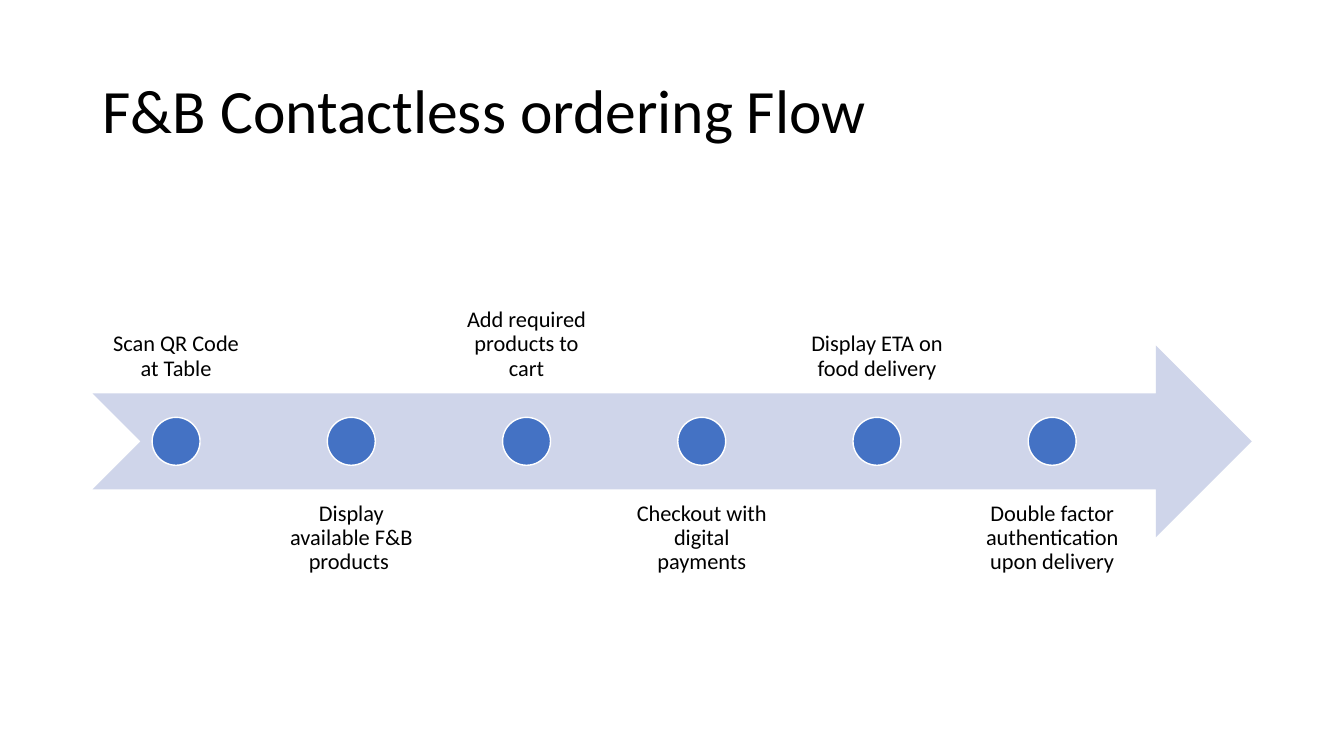
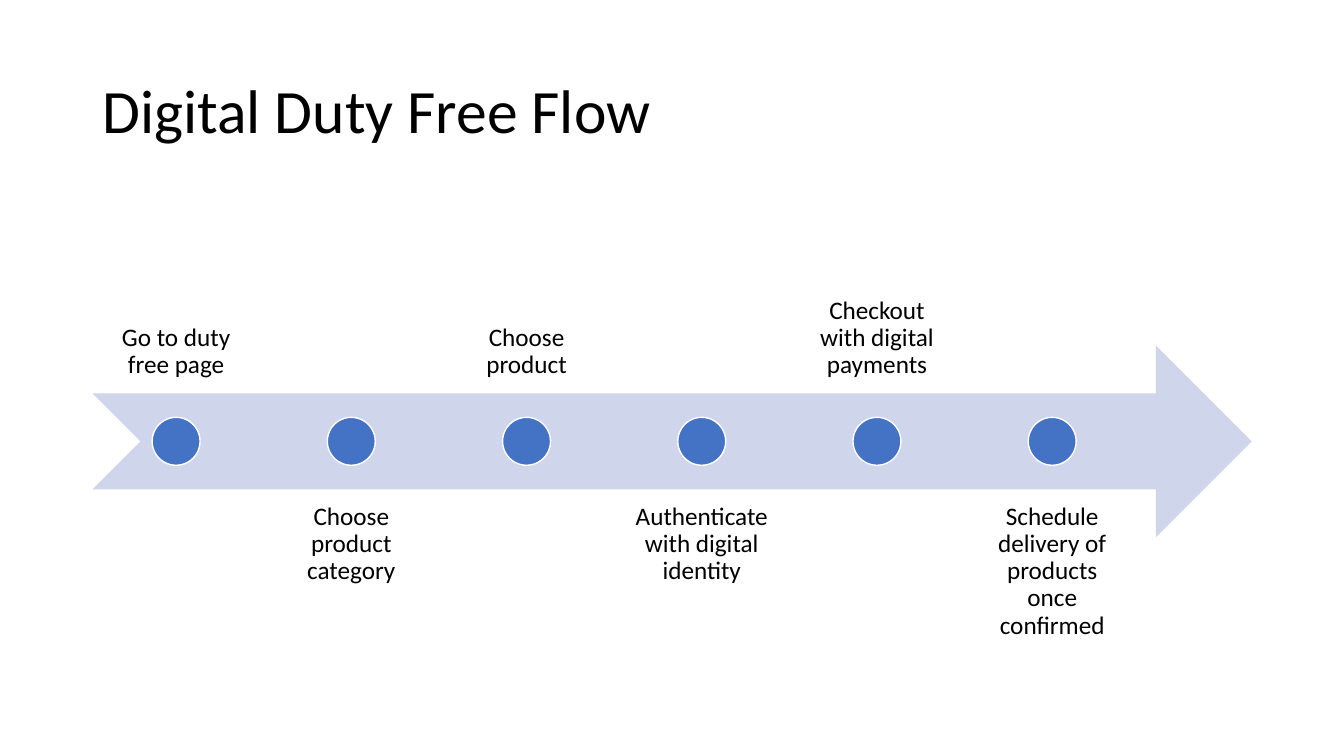
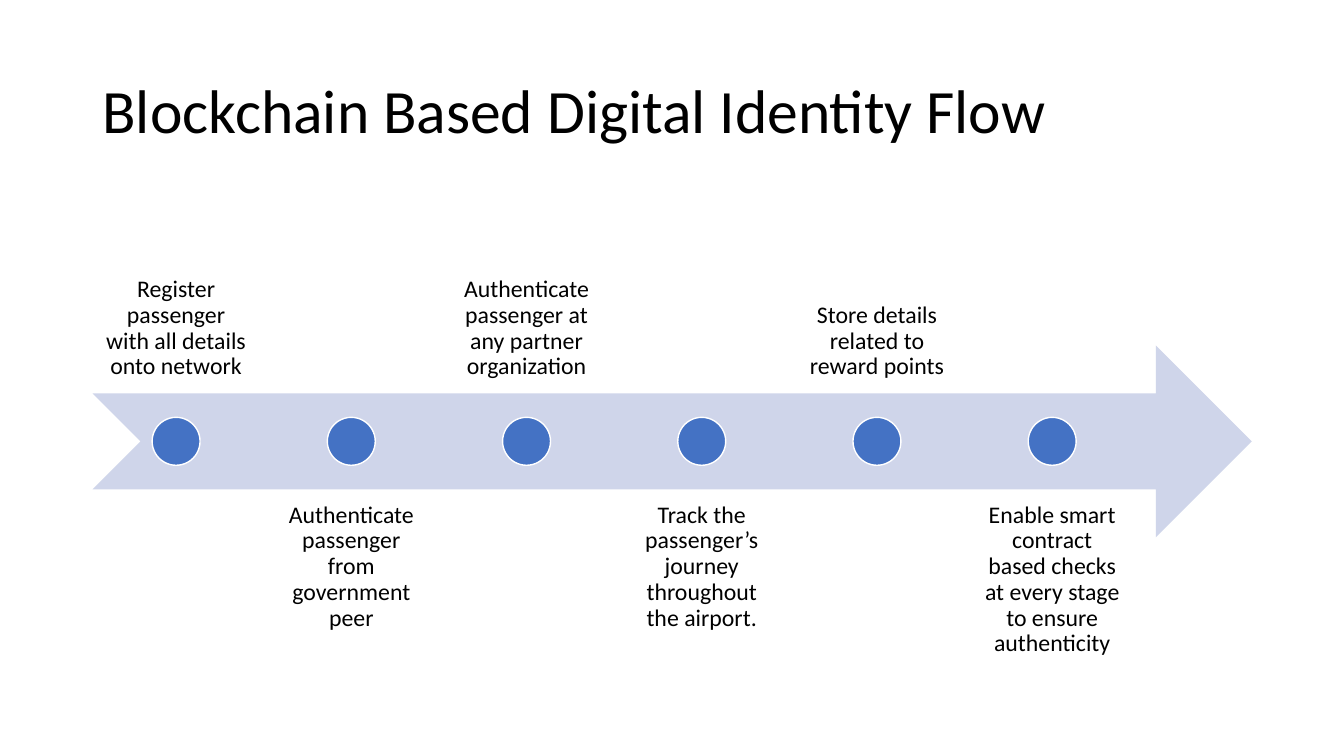
from pptx import Presentation
from pptx.dml.color import RGBColor
from pptx.enum.shapes import MSO_SHAPE
from pptx.enum.text import MSO_ANCHOR, PP_ALIGN
from pptx.util import Pt

ARROW = MSO_SHAPE.NOTCHED_RIGHT_ARROW
CIRCLE = MSO_SHAPE.OVAL
TOP, MIDDLE, BOTTOM = MSO_ANCHOR.TOP, MSO_ANCHOR.MIDDLE, MSO_ANCHOR.BOTTOM
LEFT, CENTER = PP_ALIGN.LEFT, PP_ALIGN.CENTER

COLORS = {"text": "000000", "arrow": "CFD5EA", "marker": "4472C4", "outline": "FFFFFF"}
FONT = "Calibri"
TITLE_SIZE = 44
LINE_SPACING = 0.9

MARGIN, CONTENT_WIDTH = 66.2, 828
TITLE_TOP, TITLE_HEIGHT = 28.75, 104.4

# The flow is two rows of labels with the arrow centred between them.
FLOW_TOP, ROW_HEIGHT = 144, 137
ARROW_TOP = FLOW_TOP + 0.75 * ROW_HEIGHT
LOWER_TOP = FLOW_TOP + 1.5 * ROW_HEIGHT
MARKER_SIZE = ROW_HEIGHT / 4
MARKER_TOP = ARROW_TOP + (ROW_HEIGHT - MARKER_SIZE) / 2
LABEL_WIDTH = 119.2
LABEL_PITCH = 1.05 * LABEL_WIDTH
INSET_RATIO = 0.56

# Title, label size, steps
FLOWS = [
    ("F&B Contactless ordering Flow", 16, [
        "Scan QR Code at Table",
        "Display available F&B products ",
        "Add required products to cart",
        "Checkout with digital payments",
        "Display ETA on food delivery",
        "Double factor authentication upon delivery",
    ]),
    ("Digital Duty Free Flow", 18, [
        "Go to duty free page",
        "Choose product category",
        "Choose product",
        "Authenticate with digital identity",
        "Checkout with digital payments",
        "Schedule delivery of products once confirmed",
    ]),
    ("Blockchain Based Digital Identity Flow", 17, [
        "Register passenger with all details onto network",
        "Authenticate passenger from government peer",
        "Authenticate passenger at any partner organization",
        "Track the passenger’s journey throughout the airport.",
        "Store details related to reward points",
        "Enable smart contract based checks at every stage to ensure authenticity",
    ]),
]


def color(name):
    return RGBColor.from_string(COLORS[name])


def add_text(slide, text, box, size, anchor, align, inset=None):
    """Add wrapped text in box (left, top, width, height), with an optional equal inset."""
    frame = slide.shapes.add_textbox(*map(Pt, box)).text_frame
    frame.word_wrap = True
    frame.vertical_anchor = anchor
    if inset is not None:
        frame.margin_left = frame.margin_right = Pt(inset)
        frame.margin_top = frame.margin_bottom = Pt(inset)
    paragraph = frame.paragraphs[0]
    paragraph.text = text
    paragraph.alignment = align
    paragraph.line_spacing = LINE_SPACING
    font = paragraph.runs[0].font
    font.name = FONT
    font.size = Pt(size)
    font.color.rgb = color("text")


def add_filled_shape(slide, preset, box, fill, outline=None):
    shape = slide.shapes.add_shape(preset, *map(Pt, box))
    shape.shadow.inherit = False
    shape.fill.solid()
    shape.fill.fore_color.rgb = color(fill)
    if outline:
        shape.line.color.rgb = color(outline)
        shape.line.width = Pt(1)
    else:
        shape.line.fill.background()


def add_title(slide, title):
    add_text(slide, title, (MARGIN, TITLE_TOP, CONTENT_WIDTH, TITLE_HEIGHT),
             TITLE_SIZE, MIDDLE, LEFT)


def add_step(slide, index, label, size):
    """Add a label and its marker; labels alternate above and below the arrow."""
    left = MARGIN + index * LABEL_PITCH
    label_top, anchor = (LOWER_TOP, TOP) if index % 2 else (FLOW_TOP, BOTTOM)
    add_text(slide, label, (left, label_top, LABEL_WIDTH, ROW_HEIGHT),
             size, anchor, CENTER, INSET_RATIO * size)
    marker_left = left + (LABEL_WIDTH - MARKER_SIZE) / 2
    add_filled_shape(slide, CIRCLE, (marker_left, MARKER_TOP, MARKER_SIZE, MARKER_SIZE),
                     "marker", "outline")


def add_flow(slide, steps, size):
    add_filled_shape(slide, ARROW, (MARGIN, ARROW_TOP, CONTENT_WIDTH, ROW_HEIGHT), "arrow")
    for index, label in enumerate(steps):
        add_step(slide, index, label, size)


def main():
    deck = Presentation()
    deck.slide_width, deck.slide_height = Pt(960), Pt(540)
    blank = deck.slide_layouts[6]
    for title, label_size, steps in FLOWS:
        slide = deck.slides.add_slide(blank)
        add_title(slide, title)
        add_flow(slide, steps, label_size)
    deck.save("out.pptx")


if __name__ == "__main__":
    main()
